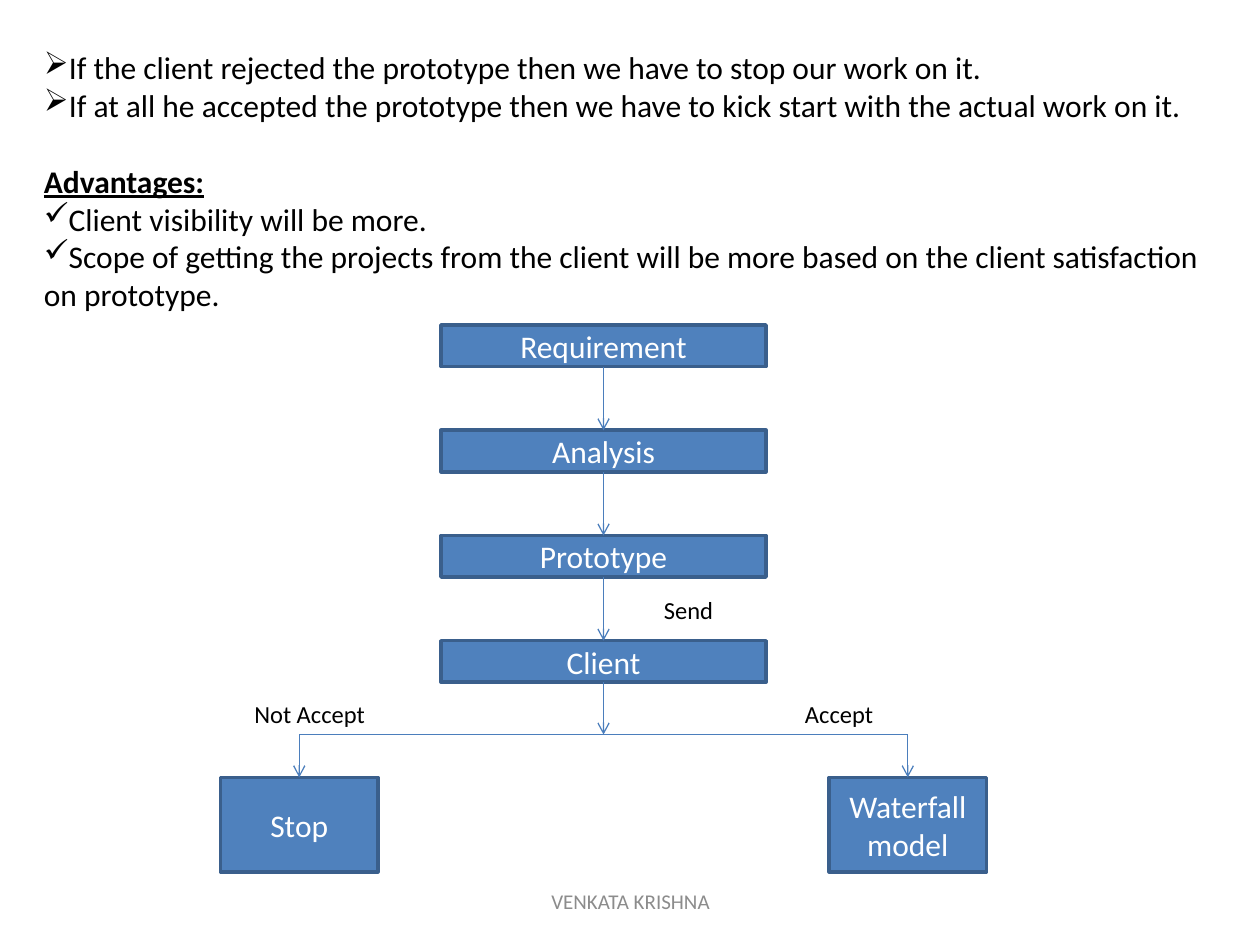
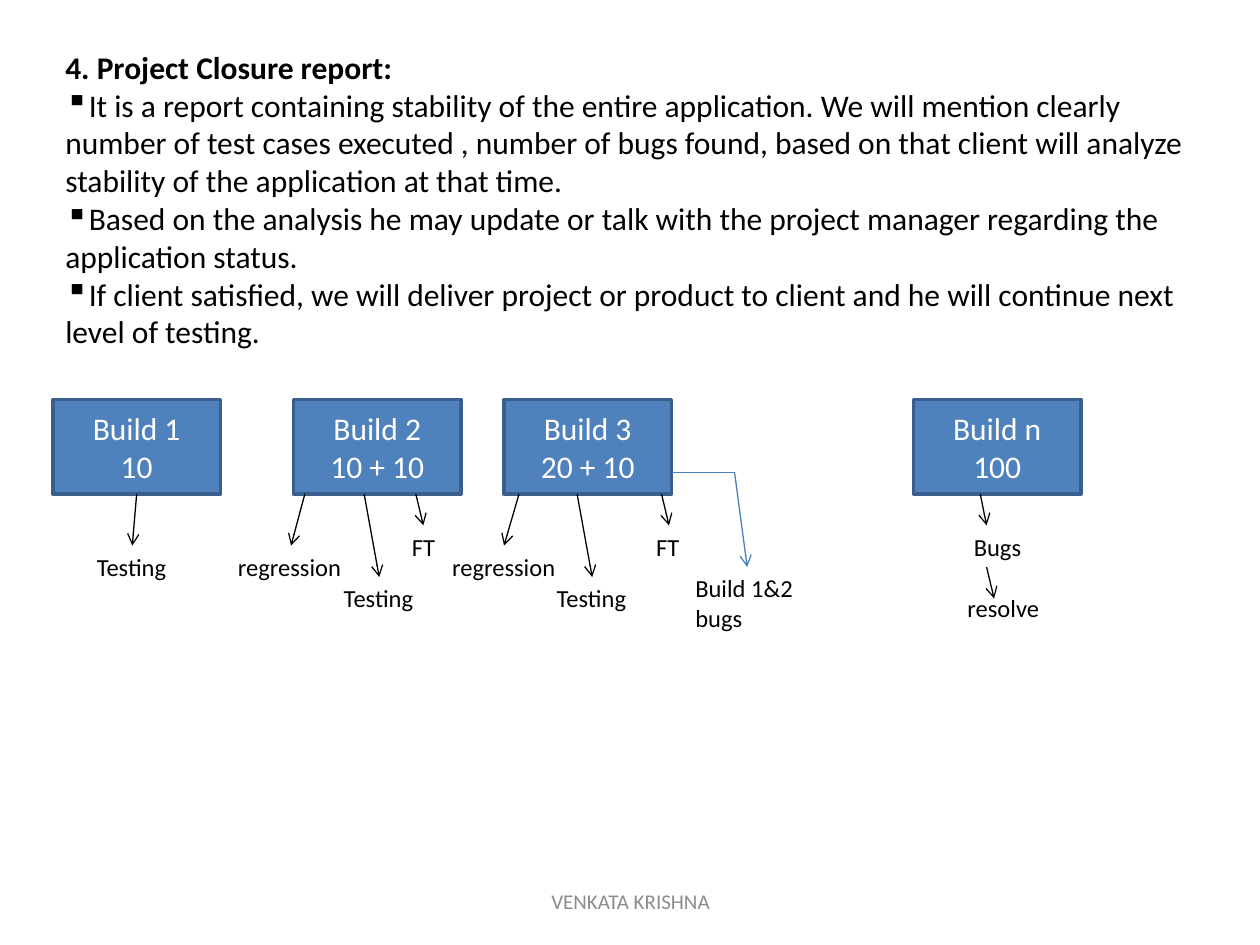
import pptx
import pptx.dml.color
import pptx.enum.shapes
import pptx.enum.text
import pptx.oxml.ns
import pptx.util
from lxml import etree

Inches = pptx.util.Inches
Pt = pptx.util.Pt
hex_color = pptx.dml.color.RGBColor.from_string
qn = pptx.oxml.ns.qn

FONT = "Calibri"
BLACK, WHITE, GREY = "000000", "FFFFFF", "8C8C8C"
BOX_FILL, BOX_EDGE, FLOW_LINE = "4F81BD", "3A5F8C", "4B7EBC"
BULLETS = "➢✓▪"
FOOTER_PLACE = (3.42, 6.95, 3.17, 0.4)


def add_text(slide, place, lines, size=18, color=BLACK, boxed=False, centred=False, wrap=True):
    """Add a text box, or a filled rectangle if boxed; a leading bullet sign becomes a real bullet."""
    place = [Inches(length) for length in place]
    if boxed:
        shape = slide.shapes.add_shape(pptx.enum.shapes.MSO_SHAPE.RECTANGLE, *place)
        shape.shadow.inherit = False
        shape.fill.solid()
        shape.fill.fore_color.rgb = hex_color(BOX_FILL)
        shape.line.color.rgb = hex_color(BOX_EDGE)
        shape.line.width = Pt(2)
    else:
        shape = slide.shapes.add_textbox(*place)
    frame = shape.text_frame
    frame.word_wrap = wrap
    if centred:
        frame.vertical_anchor = pptx.enum.text.MSO_ANCHOR.MIDDLE
    else:
        frame.auto_size = pptx.enum.text.MSO_AUTO_SIZE.SHAPE_TO_FIT_TEXT
    frame.text = "\n".join(line.lstrip(BULLETS) for line in lines)
    for paragraph, line in zip(frame.paragraphs, lines):
        if line[0] in BULLETS:
            properties = paragraph._p.get_or_add_pPr()
            etree.SubElement(properties, qn("a:buChar")).set("char", line[0])
        if centred:
            paragraph.alignment = pptx.enum.text.PP_ALIGN.CENTER
        paragraph.font.name = FONT
        paragraph.font.size = Pt(size)
        paragraph.font.color.rgb = hex_color(color)
    return shape


def add_line(slide, start, end, color=FLOW_LINE, arrow=True):
    points = [Inches(length) for length in (*start, *end)]
    line = slide.shapes.add_connector(pptx.enum.shapes.MSO_CONNECTOR.STRAIGHT, *points)
    line.line.color.rgb = hex_color(color)
    line.line.width = Pt(0.75)
    if arrow:
        etree.SubElement(line.line._get_or_add_ln(), qn("a:tailEnd")).set("type", "arrow")
    etree.SubElement(line._element.spPr, qn("a:effectLst"))
    return line


presentation = pptx.Presentation()
presentation.slide_width = Inches(10)
presentation.slide_height = Inches(7.5)
prototype_slide, closure_slide = [
    presentation.slides.add_slide(presentation.slide_layouts[6]) for _ in range(2)
]
for slide in (prototype_slide, closure_slide):
    add_text(slide, FOOTER_PLACE, ["VENKATA KRISHNA"], 12, GREY, centred=True)

# Prototype model: text and flow chart
prototype_text = add_text(prototype_slide, (0.25, 0.33, 9.42, 2.22), [
    "➢If the client rejected the prototype then we have to stop our work on it.",
    "➢If at all he accepted the prototype then we have to kick start with the actual work on it.",
    "Advantages:",
    "✓Client visibility will be more.",
    "✓Scope of getting the projects from the client will be more based on the client "
    "satisfaction on prototype.",
])
advantages = prototype_text.text_frame.paragraphs[2]
advantages.space_before = Pt(22)
advantages.font.bold = True
advantages.font.underline = True

flow_left, flow_top, flow_width, flow_height, flow_step = 3.5, 2.58, 2.58, 0.33, 0.835
flow_middle = flow_left + flow_width / 2
previous = None
for row, step in enumerate(("Requirement", "Analysis", "Prototype", "Client")):
    top = flow_top + row * flow_step
    box = add_text(prototype_slide, (flow_left, top, flow_width, flow_height), [step],
                   color=WHITE, boxed=True, centred=True)
    if previous:
        arrow = add_line(prototype_slide, (flow_middle, top - 0.5), (flow_middle, top))
        arrow.begin_connect(previous, 2)
        arrow.end_connect(box, 0)
    previous = box

branch_top, outcome_top, outcome_width, outcome_height = 5.83, 6.17, 1.25, 0.75
outcome_middles = []
client_arrow = add_line(prototype_slide, (flow_middle, 5.42), (flow_middle, branch_top))
client_arrow.begin_connect(previous, 2)
for outcome, left in (("Stop", 1.75), ("Waterfall model", 6.58)):
    box = add_text(prototype_slide, (left, outcome_top, outcome_width, outcome_height), [outcome],
                   color=WHITE, boxed=True, centred=True)
    middle = left + outcome_width / 2
    outcome_middles.append(middle)
    add_line(prototype_slide, (middle, branch_top), (middle, outcome_top)).end_connect(box, 0)
add_line(prototype_slide, *[(middle, branch_top) for middle in outcome_middles], arrow=False)

for label, left, top, width in (
    ("Accept", 6.29, 5.5, 0.79),
    ("Not Accept", 1.92, 5.5, 1.13),
    ("Send", 5.17, 4.67, 0.64),
):
    add_text(prototype_slide, (left, top, width, 0.34), [label], 14, wrap=False)

# Project closure report: text and builds
closure_text = add_text(closure_slide, (0.42, 0.33, 9.17, 2.83), [
    "4. Project Closure report:",
    "▪It is a report containing stability of the entire application. We will mention clearly "
    "number of test cases executed , number of bugs found, based on that client will analyze "
    "stability of the application at that time.",
    "▪Based on the analysis he may update or talk with the project manager regarding the "
    "application status.",
    "▪If client satisfied, we will deliver project or product to client and he will continue "
    "next level of testing.",
])
closure_text.text_frame.paragraphs[0].font.bold = True

build_top, build_width, build_height = 3.17, 1.33, 0.75
build_bottom = build_top + build_height
builds = {}
for name, count, left in (
    ("Build 1", "10", 0.42),
    ("Build 2", "10 + 10", 2.33),
    ("Build 3", "20 + 10", 4),
    ("Build n", "100", 7.25),
):
    builds[name] = add_text(closure_slide, (left, build_top, build_width, build_height),
                            [name, count], color=WHITE, boxed=True, centred=True)

for lines, left, top, width in (
    (["Testing"], 0.67, 4.33, 0.76),
    (["regression"], 1.79, 4.33, 1.03),
    (["Testing"], 2.63, 4.58, 0.76),
    (["FT"], 3.17, 4.17, 0.39),
    (["regression"], 3.49, 4.33, 1.03),
    (["Testing"], 4.32, 4.58, 0.76),
    (["FT"], 5.11, 4.17, 0.39),
    (["Build 1&2", "bugs"], 5.42, 4.5, 1.03),
    (["Bugs"], 7.63, 4.17, 0.62),
    (["resolve"], 7.58, 4.66, 0.78),
):
    add_text(closure_slide, (left, top, width, 0.1 + 0.235 * len(lines)), lines, 14, wrap=False)

testing_arrow = add_line(closure_slide, (1.08, build_bottom), (1.05, 4.33), BLACK)
testing_arrow.begin_connect(builds["Build 1"], 2)
for start, end, end_top in (
    (2.42, 2.31, 4.33), (2.89, 3.01, 4.58), (3.3, 3.36, 4.17),
    (4.12, 4, 4.33), (4.58, 4.7, 4.58), (5.25, 5.31, 4.17),
    (7.78, 7.83, 4.17),
):
    add_line(closure_slide, (start, build_bottom), (end, end_top), BLACK)
add_line(closure_slide, (7.83, 4.5), (7.89, 4.75), BLACK)
add_line(closure_slide, (5.33, 3.75), (5.83, 3.75), arrow=False)
add_line(closure_slide, (5.83, 3.75), (5.93, 4.5))

presentation.save("out.pptx")
